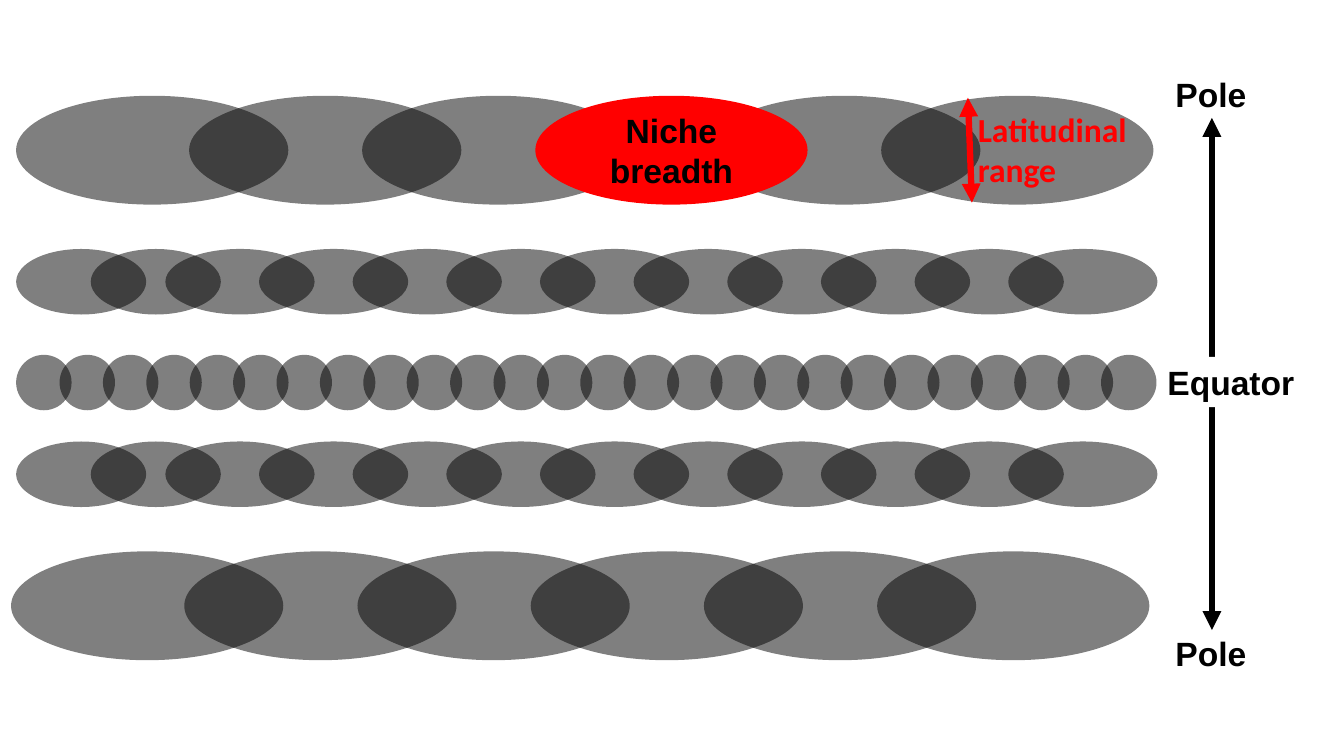
from lxml import etree
from pptx import Presentation
from pptx.dml.color import RGBColor
from pptx.enum import shapes, text
from pptx.oxml import ns
from pptx.util import Inches, Pt

BLACK, RED, WHITE = "000000", "FF0000", "FFFFFF"


def colour(value):
    return RGBColor.from_string(value)


def write(sp, words, font="Arial", ink=BLACK, align=text.PP_ALIGN.LEFT,
          anchor=text.MSO_ANCHOR.TOP):
    tf = sp.text_frame
    tf.word_wrap = True
    tf.vertical_anchor = anchor
    p = tf.paragraphs[0]
    p.alignment = align
    r = p.add_run()
    r.text = words
    r.font.name = font
    r.font.size = Pt(24)
    r.font.bold = True
    r.font.color.rgb = colour(ink)


def add_label(s, words, x, y, w, h, font="Arial", ink=BLACK):
    sp = s.shapes.add_textbox(Inches(x), Inches(y), Inches(w), Inches(h))
    write(sp, words, font, ink)


def add_filled(s, kind, x, y, w, h, fill, alpha=None):
    sp = s.shapes.add_shape(kind, Inches(x), Inches(y), Inches(w), Inches(h))
    sp.shadow.inherit = False
    sp.fill.solid()
    sp.fill.fore_color.rgb = colour(fill)
    sp.line.fill.background()
    if alpha:
        clr = sp._element.spPr.find(".//" + ns.qn("a:srgbClr"))
        etree.SubElement(clr, ns.qn("a:alpha"), val=str(alpha * 1000))
    return sp


def add_niche_row(s, first, last, count, y, w, h, skip=None):
    step = (last - first) / (count - 1)
    for i in range(count):
        if i != skip:
            add_filled(s, shapes.MSO_SHAPE.OVAL, first + i * step, y, w, h, BLACK, 50)


def add_double_arrow(s, x1, y1, x2, y2, ink):
    cx = s.shapes.add_connector(shapes.MSO_CONNECTOR.STRAIGHT, Inches(x1), Inches(y1),
                                Inches(x2), Inches(y2))
    cx.line.color.rgb = colour(ink)
    cx.line.width = Pt(4.5)
    ln = cx.line._get_or_add_ln()
    for end in ("a:headEnd", "a:tailEnd"):
        etree.SubElement(ln, ns.qn(end), type="triangle")
    etree.SubElement(cx._element.spPr, ns.qn("a:effectLst"))


def main():
    prs = Presentation()
    prs.slide_width, prs.slide_height = Inches(13.33), Inches(7.5)
    s = prs.slides.add_slide(prs.slide_layouts[6])

    add_double_arrow(s, 12.02, 1.17, 12.02, 6.25, BLACK)
    for y in (0.68, 6.23):
        add_label(s, "Pole", 11.56, y, 0.92, 0.5)
    equator = add_filled(s, shapes.MSO_SHAPE.RECTANGLE, 11.48, 3.54, 1.48, 0.5, WHITE)
    write(equator, "Equator")

    add_niche_row(s, 0.16, 10.92, 26, 3.52, 0.55, 0.55)
    for y in (2.47, 4.38):
        add_niche_row(s, 0.16, 0.9, 2, y, 1.29, 0.65)
        add_niche_row(s, 1.64, 10, 10, y, 1.48, 0.65)
    add_niche_row(s, 0.16, 8.74, 6, 0.95, 2.7, 1.08, skip=3)
    add_niche_row(s, 0.11, 8.7, 6, 5.47, 2.7, 1.08)

    niche = add_filled(s, shapes.MSO_SHAPE.OVAL, 5.31, 0.95, 2.7, 1.08, RED)
    write(niche, "Niche breadth", align=text.PP_ALIGN.CENTER,
          anchor=text.MSO_ANCHOR.MIDDLE)
    add_double_arrow(s, 9.6, 0.97, 9.64, 2.01, RED)
    add_label(s, "Latitudinal range", 9.6, 1.03, 1.86, 0.91, "Calibri", RED)

    prs.save("out.pptx")


if __name__ == "__main__":
    main()
